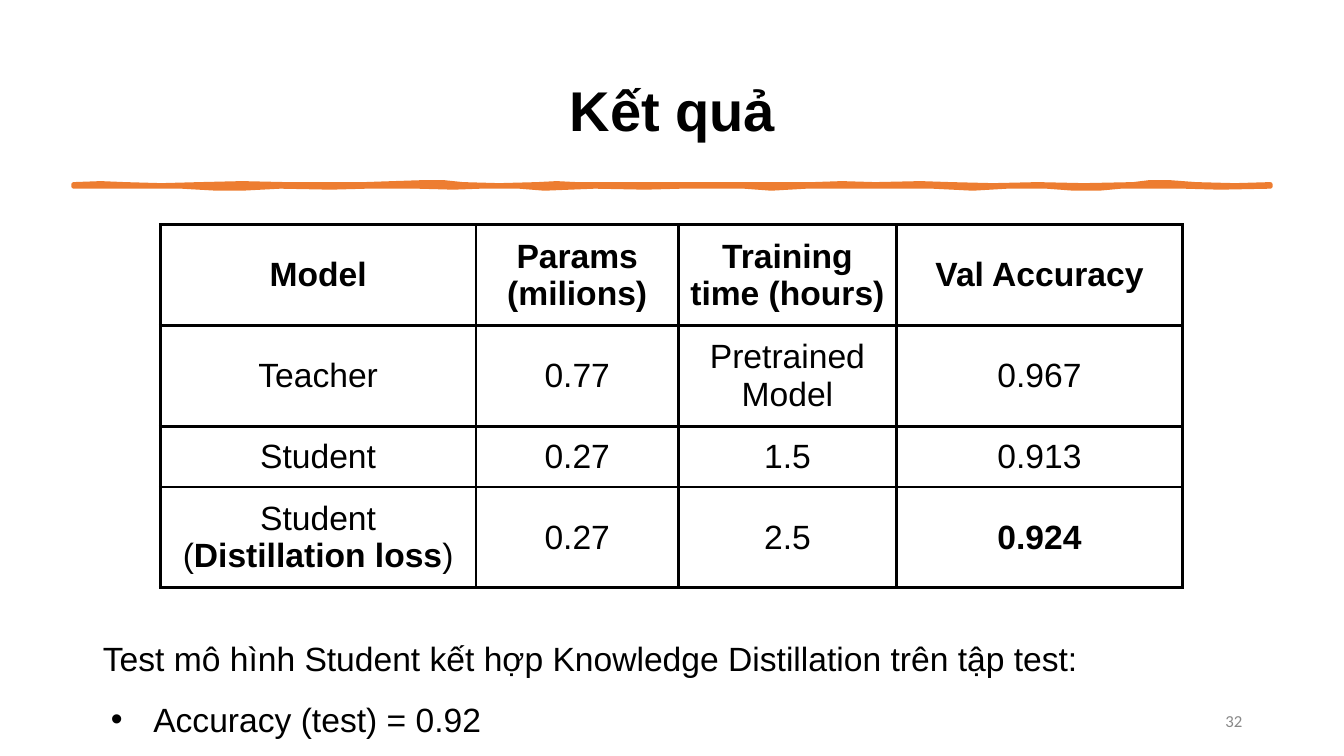
"""Build the results slide: a model comparison table and a test note."""
import pptx
import pptx.chart
import pptx.dml.color
import pptx.enum.text
import pptx.oxml
import pptx.oxml.ns
import pptx.util

TITLE = "Kết quả"
ROWS = [
    ["*Model*", "*Params (milions)*", "*Training time (hours)*", "*Val Accuracy*"],
    ["Teacher", "0.77", "Pretrained Model", "0.967"],
    ["Student", "0.27", "1.5", "0.913"],
    ["Student\n(*Distillation loss*)", "0.27", "2.5", "*0.924*"],
]
WIDTHS = [313, 201, 216, 284]
HEIGHTS = [100, 100, 60, 100]
NOTES = ["Test mô hình Student kết hợp Knowledge Distillation trên tập test:",
         "Accuracy (test) = 0.92"]
NUMBER = "32"
TOP = [(73, 183), (100, 182), (124, 183), (160, 184), (198, 183), (240, 182),
       (284, 183), (322, 183), (361, 183), (390, 182), (420, 181), (440, 181),
       (459, 183), (495, 184), (533, 183), (552, 182), (572, 183), (646, 183),
       (744, 183), (806, 183), (835, 182), (868, 183), (913, 182), (943, 183),
       (985, 184), (1029, 183), (1075, 184), (1124, 183), (1140, 181),
       (1160, 181), (1186, 183), (1225, 184), (1260, 183)]
BASE = [(1260, 185), (1210, 186), (1174, 185), (1136, 185), (1112, 185),
        (1090, 187), (1065, 187), (1038, 185), (999, 185), (965, 187),
        (925, 185), (863, 185), (800, 185), (765, 187), (738, 185), (711, 185),
        (676, 185), (640, 186), (590, 185), (540, 187), (515, 185), (477, 185),
        (450, 186), (414, 185), (364, 185), (328, 186), (278, 185), (240, 187),
        (215, 187), (180, 185), (150, 185), (110, 185), (73, 185)]
BLACK, ORANGE, GREY = "000000", "ED7D31", "888888"
PX = 9144
MID = pptx.enum.text.MSO_ANCHOR.MIDDLE
ALIGN = pptx.enum.text.PP_ALIGN


def color(code):
    return pptx.dml.color.RGBColor.from_string(code)


def place(shape, *box):
    shape.left, shape.top, shape.width, shape.height = [n * PX for n in box]


def style(para, size, bold=False, face="Arial", tint=BLACK):
    for run in para.runs:
        font = run.font
        font.size, font.bold, font.name = pptx.util.Pt(size), bold, face
        font.color.rgb = color(tint)


def inset(frame, side, edge):
    frame.margin_left = frame.margin_right = side * PX
    frame.margin_top = frame.margin_bottom = edge * PX


def node(xml):
    space = pptx.oxml.ns.nsdecls("a")
    return pptx.oxml.parse_xml(xml.replace("NS", space, 1))


def fill_cell(cell, text):
    inset(cell, 10, 10)
    cell.vertical_anchor = MID
    frame = cell.text_frame
    frame.text = text.replace("*", "")
    for para, line in zip(frame.paragraphs, text.split("\n")):
        para.alignment = ALIGN.CENTER
        parts = line.split("*")
        para.text = parts[0]
        for part in parts[1:]:
            para.add_run().text = part
        style(para, 24)
        for run in list(para.runs):
            if not run.text:
                run._r.getparent().remove(run._r)
            elif run.text in parts[1::2]:
                run.font.bold = True
    for side in "LRTB":
        cell._tc.get_or_add_tcPr().append(node(
            f'<a:ln{side} NS w="28575"><a:solidFill><a:srgbClr val="{BLACK}"/>'
            f'</a:solidFill></a:ln{side}>'))
    cell.fill.background()


def add_title(slide):
    title = slide.shapes.title
    place(title, 92, 40, 1150, 145)
    frame = title.text_frame
    frame.text = TITLE
    frame.vertical_anchor = MID
    para = frame.paragraphs[0]
    para.alignment, para.line_spacing = ALIGN.CENTER, 0.9
    style(para, 40, True)


def add_rule(slide):
    pen = slide.shapes.build_freeform(*TOP[0], scale=PX)
    pen.add_line_segments(TOP[1:] + BASE)
    rule = pen.convert_to_shape()
    rule.shadow.inherit = False
    rule.fill.solid()
    rule.fill.fore_color.rgb = rule.line.color.rgb = color(ORANGE)
    rule.line.width = pptx.util.Pt(3.25)
    rule.line._get_or_add_ln().append(node("<a:round NS/>"))


def add_grid(slide):
    box = [n * PX for n in (159, 223, sum(WIDTHS), sum(HEIGHTS))]
    grid = slide.shapes.add_table(len(ROWS), len(WIDTHS), *box).table
    grid.first_row = grid.horz_banding = False
    for col, width in zip(grid.columns, WIDTHS):
        col.width = width * PX
    for row, height, texts in zip(grid.rows, HEIGHTS, ROWS):
        row.height = height * PX
        for cell, text in zip(row.cells, texts):
            fill_cell(cell, text)


def add_notes(slide):
    body = slide.placeholders[1]
    place(body, 92, 603, 1043, 121)
    frame = body.text_frame
    frame.text = "\n".join(NOTES)
    inset(frame, 10, 10)
    frame.vertical_anchor = pptx.enum.text.MSO_ANCHOR.TOP
    frame.auto_size = pptx.enum.text.MSO_AUTO_SIZE.SHAPE_TO_FIT_TEXT
    marks = ["<a:buNone NS/>", '<a:buChar NS char="•"/>']
    for para, mark, left, hang in zip(frame.paragraphs, marks, (0, 50), (0, -42)):
        para.alignment, para.line_spacing = ALIGN.LEFT, 1.5
        para.space_before = pptx.util.Pt(0)
        style(para, 24)
        props = para._p.get_or_add_pPr()
        props.set("marL", str(left * PX))
        props.set("indent", str(hang * PX))
        props.append(node(mark))


def add_number(slide):
    box = slide.shapes.add_textbox(*[n * PX for n in (942, 695, 300, 40)])
    frame = box.text_frame
    frame.word_wrap = True
    frame.text = NUMBER
    inset(frame, 10, 5)
    frame.vertical_anchor = MID
    para = frame.paragraphs[0]
    para.alignment = ALIGN.RIGHT
    style(para, 12, face="Calibri", tint=GREY)


def main():
    deck = pptx.Presentation()
    deck.slide_width, deck.slide_height = 1333 * PX, 750 * PX
    slide = deck.slides.add_slide(deck.slide_layouts[1])
    for add in (add_title, add_rule, add_grid, add_number, add_notes):
        add(slide)
    deck.save("out.pptx")


if __name__ == "__main__":
    main()
